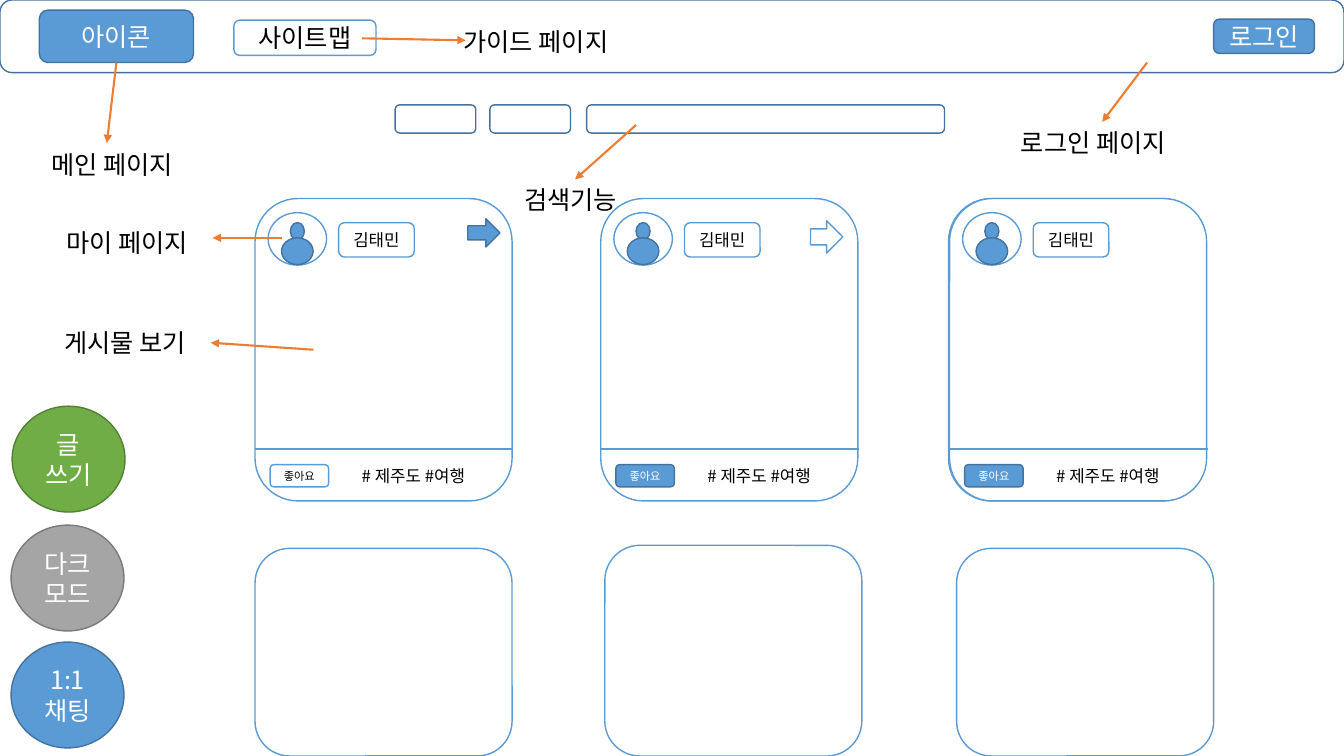
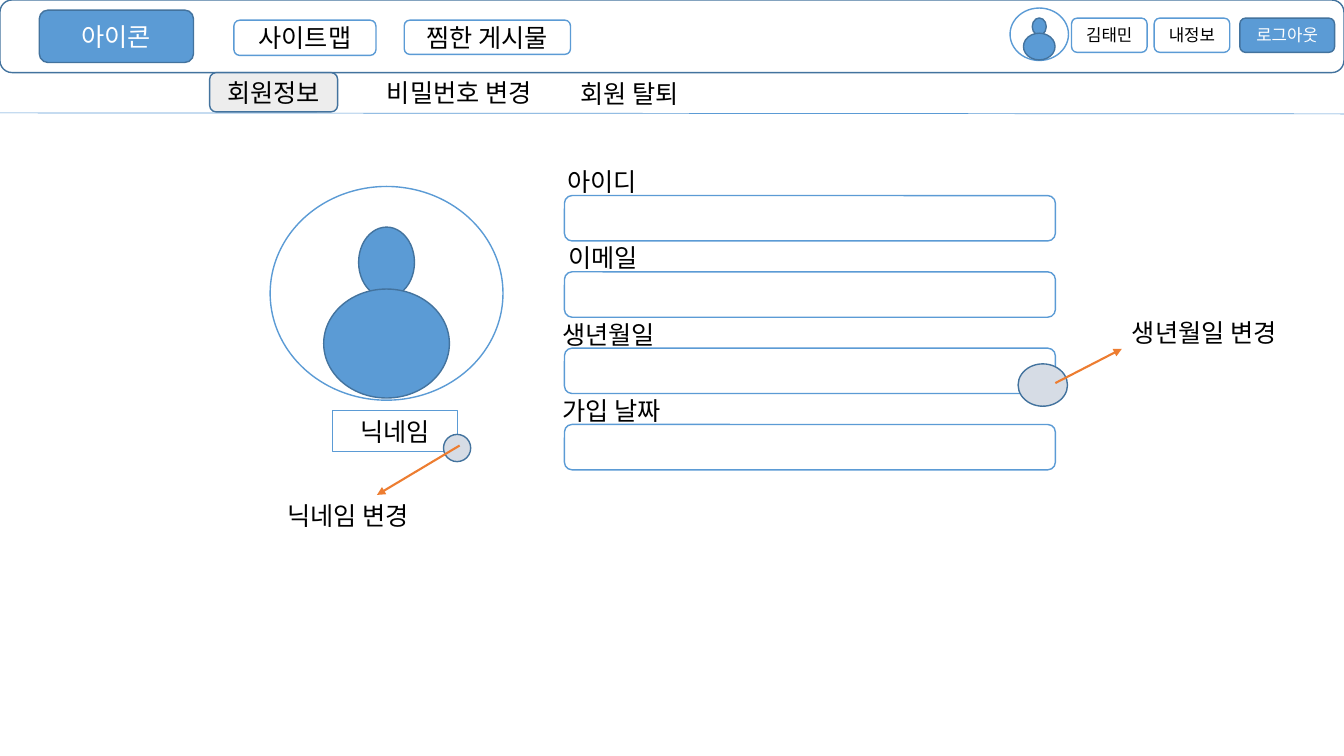
from dataclasses import dataclass
from typing import NamedTuple, Optional

from lxml.etree import SubElement
from pptx import Presentation
from pptx.dml.color import RGBColor
from pptx.enum.shapes import MSO_CONNECTOR, MSO_SHAPE
from pptx.enum.text import MSO_ANCHOR, MSO_AUTO_SIZE, PP_ALIGN
from pptx.oxml.ns import qn
from pptx.shapes.autoshape import Shape
from pptx.shapes.connector import Connector
from pptx.slide import Slide
from pptx.util import Inches, Length, Pt

COLORS = {
    "white": "FFFFFF", "black": "000000", "blue": "5B9BD5", "navy": "43739E",
    "orange": "ED7D31", "gray": "A5A5A5", "dark_gray": "7A7A7A",
    "green": "70AD47", "dark_green": "538035",
    "pale_gray": "EDEDED", "pale_blue": "D6DCE5",
}
FONT = "Noto Sans CJK KR"
COLUMNS, ROWS = 133.33, 75  # square grid cells of a tenth of an inch
TOP, RIGHT, BOTTOM = 0, 3, 2
ROUND, OVAL = MSO_SHAPE.ROUNDED_RECTANGLE, MSO_SHAPE.OVAL


class Box(NamedTuple):
    """Left, top, width and height in grid cells."""
    x: float
    y: float
    w: float
    h: float

    def inset(self, x: float, y: float, w: float, h: float) -> "Box":
        """A box given as shares of this one."""
        return Box(self.x + x * self.w, self.y + y * self.h, w * self.w, h * self.h)


@dataclass(frozen=True)
class Style:
    fill: str
    line: str
    text: str = "black"


OUTLINE = Style("white", "blue")
FRAME = Style("white", "navy")
SOLID = Style("blue", "navy", "white")
EDIT_DOT = Style("pale_blue", "navy")
ACTIVE_TAB = Style("pale_gray", "navy")


@dataclass(frozen=True)
class Label:
    text: str
    box: Box


@dataclass(frozen=True)
class Arrow:
    """An arrow, joined to the side of a target label if one is named."""
    x1: float
    y1: float
    x2: float
    y2: float
    target: Optional[str] = None
    side: int = TOP


@dataclass(frozen=True)
class Card:
    x: float
    like: Style


@dataclass(frozen=True)
class RoundButton:
    text: str
    x: float
    y: float
    style: Style


def cells(count: float) -> Length:
    return Inches(count / 10)


def rgb(name: str) -> RGBColor:
    return RGBColor.from_string(COLORS[name])


def write(shape: Shape, text: str, size: float, color: str, align: PP_ALIGN) -> None:
    frame = shape.text_frame
    for number, line in enumerate(text.split("\n")):
        paragraph = frame.add_paragraph() if number else frame.paragraphs[0]
        paragraph.alignment = align
        run = paragraph.add_run()
        run.text = line
        run.font.size = Pt(size)
        run.font.name = FONT
        run.font.color.rgb = rgb(color)
        SubElement(run.font._element, qn("a:ea")).set("typeface", FONT)


def add_panel(slide: Slide, box: Box, style: Style = OUTLINE, text: str = "",
              size: float = 18, kind: MSO_SHAPE = ROUND) -> Shape:
    panel = slide.shapes.add_shape(kind, *map(cells, box))
    panel.shadow.inherit = False
    panel.fill.solid()
    panel.fill.fore_color.rgb = rgb(style.fill)
    panel.line.color.rgb = rgb(style.line)
    panel.line.width = Pt(1)
    if text:
        panel.text_frame.word_wrap = True
        panel.text_frame.vertical_anchor = MSO_ANCHOR.MIDDLE
        write(panel, text, size, style.text, PP_ALIGN.CENTER)
    return panel


def add_label(slide: Slide, label: Label, size: float = 18) -> Shape:
    caption = slide.shapes.add_textbox(*map(cells, label.box))
    caption.text_frame.word_wrap = False
    caption.text_frame.auto_size = MSO_AUTO_SIZE.SHAPE_TO_FIT_TEXT
    write(caption, label.text, size, "black", PP_ALIGN.LEFT)
    return caption


def add_line(slide: Slide, x1: float, y1: float, x2: float, y2: float,
             color: str = "blue", width: float = 1.5) -> Connector:
    line = slide.shapes.add_connector(MSO_CONNECTOR.STRAIGHT, *map(cells, (x1, y1, x2, y2)))
    line.line.color.rgb = rgb(color)
    line.line.width = Pt(width)
    SubElement(line._element.spPr, qn("a:effectLst"))
    return line


def add_arrow(slide: Slide, arrow: Arrow, captions: dict[str, Shape]) -> Connector:
    line = add_line(slide, arrow.x1, arrow.y1, arrow.x2, arrow.y2, "orange")
    outline = line._element.spPr.find(qn("a:ln"))
    SubElement(outline, qn("a:tailEnd")).set("type", "triangle")
    if arrow.target:
        line.end_connect(captions[arrow.target], arrow.side)
    return line


def add_avatar(slide: Slide, box: Box) -> None:
    add_panel(slide, box, kind=OVAL)
    for share in ((0.38, 0.19, 0.24, 0.33), (0.23, 0.48, 0.54, 0.51)):
        add_panel(slide, box.inset(*share), SOLID, kind=OVAL)


def add_profile(slide: Slide, x: float, y: float, name_gap: float) -> None:
    """Small avatar with the user's name beside it."""
    add_avatar(slide, Box(x, y, 5.8, 5.2))
    add_panel(slide, Box(x + 5.8 + name_gap, y + 1, 7.5, 3.4), text="김태민", size=12)


def add_card_frame(slide: Slide, x: float, divider_y: float) -> None:
    add_panel(slide, Box(x, 19.7, 25.5, 30))
    add_line(slide, x, divider_y, x + 25.6, divider_y)


def add_card(slide: Slide, card: Card) -> None:
    add_card_frame(slide, card.x, 44.5)
    add_profile(slide, card.x + 1.3, 21.1, 1.2)
    add_panel(slide, Box(card.x + 1.5, 46.1, 5.8, 2.2), card.like, "좋아요", 8)
    add_label(slide, Label("# 제주도 #여행", Box(card.x + 9.6, 45.7, 13.7, 3)), 12)


def add_header(slide: Slide) -> Shape:
    """Top bar shared by the pages; gives back the icon button."""
    add_panel(slide, Box(0, 0, COLUMNS, 7.2), FRAME)
    add_panel(slide, Box(23.2, 2, 14.1, 3.5), text="사이트맵")
    return add_panel(slide, Box(3.9, 1, 15.3, 5.2), SOLID, "아이콘")


CARDS = [Card(25.3, OUTLINE), Card(59.6, SOLID), Card(94.2, SOLID)]
NEXT_ROW = [Box(25.3, 54.4, 25.5, 20.6), Box(60, 54.1, 25.5, 20.9), Box(94.9, 54.4, 25.5, 20.6)]
SEARCH_BAR = [Box(39.2, 10.4, 8, 2.8), Box(48.6, 10.4, 8, 2.8), Box(58.2, 10.4, 35.5, 2.8)]
ROUND_BUTTONS = [
    RoundButton("1:1 채팅", 1.1, 63.7, SOLID),
    RoundButton("다크모드", 1.1, 52.1, Style("gray", "dark_gray", "white")),
    RoundButton("글\n쓰기", 1.2, 40.3, Style("green", "dark_green", "white")),
]
MAIN_LABELS = [
    Label("메인 페이지", Box(4.1, 14.3, 15.5, 4)),
    Label("로그인 페이지", Box(100.3, 12.1, 18.1, 4)),
    Label("마이 페이지", Box(5.6, 22.1, 15.5, 4)),
    Label("검색기능", Box(51, 17.8, 12.1, 4)),
    Label("가이드 페이지", Box(45, 2.1, 18.1, 4)),
    Label("게시물 보기", Box(5.4, 32, 15.5, 4)),
]
MAIN_ARROWS = [
    Arrow(113.8, 6.2, 109.4, 12, "로그인 페이지"),
    Arrow(28, 23.6, 21.1, 23.6),
    Arrow(31.1, 34.7, 21, 34.1, "게시물 보기", RIGHT),
    Arrow(63.1, 12.4, 57, 17.5, "검색기능"),
    Arrow(35.9, 3.8, 46.2, 4),
]
FIELDS = [("아이디", 55.3, 9.6), ("이메일", 55.4, 9.6),
          ("생년월일", 54.8, 12.1), ("가입 날짜", 54.8, 13)]
FIELD_TOP, FIELD_STEP = 19.4, 7.57
MEMBER_LABELS = [
    Label("비밀번호 변경", Box(37.4, 7.2, 18.1, 4)),
    Label("회원 탈퇴", Box(56.6, 7.3, 13, 4)),
    Label("닉네임 변경", Box(27.5, 49.1, 15.5, 4)),
    Label("생년월일 변경", Box(111.3, 31, 18.1, 4)),
]
MEMBER_ARROWS = [Arrow(45.6, 44.2, 37.4, 49.1), Arrow(104.7, 38, 111.3, 34.6)]


def annotate(slide: Slide, labels: list[Label], arrows: list[Arrow]) -> None:
    captions = {label.text: add_label(slide, label) for label in labels}
    for arrow in arrows:
        add_arrow(slide, arrow, captions)


def build_main_page(slide: Slide) -> None:
    icon = add_header(slide)
    add_panel(slide, Box(120.4, 1.9, 10, 3.4), SOLID, "로그인")
    for box in SEARCH_BAR:
        add_panel(slide, box, FRAME)
    add_card_frame(slide, 94.1, 44.4)
    for box in NEXT_ROW:
        add_panel(slide, box)
    for card in CARDS:
        add_card(slide, card)
    annotate(slide, MAIN_LABELS, MAIN_ARROWS)
    add_arrow(slide, Arrow(11.5, 6.2, 10.6, 14.2), {}).begin_connect(icon, BOTTOM)
    for button in ROUND_BUTTONS:
        add_panel(slide, Box(button.x, button.y, 11.2, 10.5), button.style, button.text, kind=OVAL)
    add_panel(slide, Box(46.4, 21.7, 3.2, 2.8), SOLID, kind=MSO_SHAPE.RIGHT_ARROW)
    add_panel(slide, Box(80.4, 21.9, 3.2, 3.2), kind=MSO_SHAPE.RIGHT_ARROW)


def build_member_page(slide: Slide) -> None:
    add_header(slide)
    add_panel(slide, Box(40.1, 2, 16.5, 3.4), text="찜한 게시물")
    add_profile(slide, 100.2, 0.8, 0.3)
    add_panel(slide, Box(114.5, 1.8, 7.5, 3.4), text="내정보", size=12)
    add_panel(slide, Box(123, 1.8, 9.4, 3.4), SOLID, "로그아웃", 12)
    add_line(slide, 0, 11.2, COLUMNS, 11.3, width=0.5)
    add_panel(slide, Box(20.8, 7.2, 12.7, 3.9), ACTIVE_TAB, "회원정보")
    add_avatar(slide, Box(26.8, 18.5, 23.1, 21.2))
    add_panel(slide, Box(33, 40.7, 12.4, 4.1), text="닉네임", kind=MSO_SHAPE.RECTANGLE)
    for row, (name, x, width) in enumerate(FIELDS):
        y = FIELD_TOP + row * FIELD_STEP
        add_panel(slide, Box(56, y, 48.7, 4.5))
        add_label(slide, Label(name, Box(x, y - 3.4, width, 4)))
    for dot in (Box(44, 43.1, 2.7, 2.7), Box(101, 36.1, 4.9, 4.2)):
        add_panel(slide, dot, EDIT_DOT, kind=OVAL)
    annotate(slide, MEMBER_LABELS, MEMBER_ARROWS)


def main() -> None:
    deck = Presentation()
    deck.slide_width, deck.slide_height = cells(COLUMNS), cells(ROWS)
    blank = deck.slide_layouts[6]
    for build in (build_main_page, build_member_page):
        build(deck.slides.add_slide(blank))
    deck.save("out.pptx")


if __name__ == "__main__":
    main()
